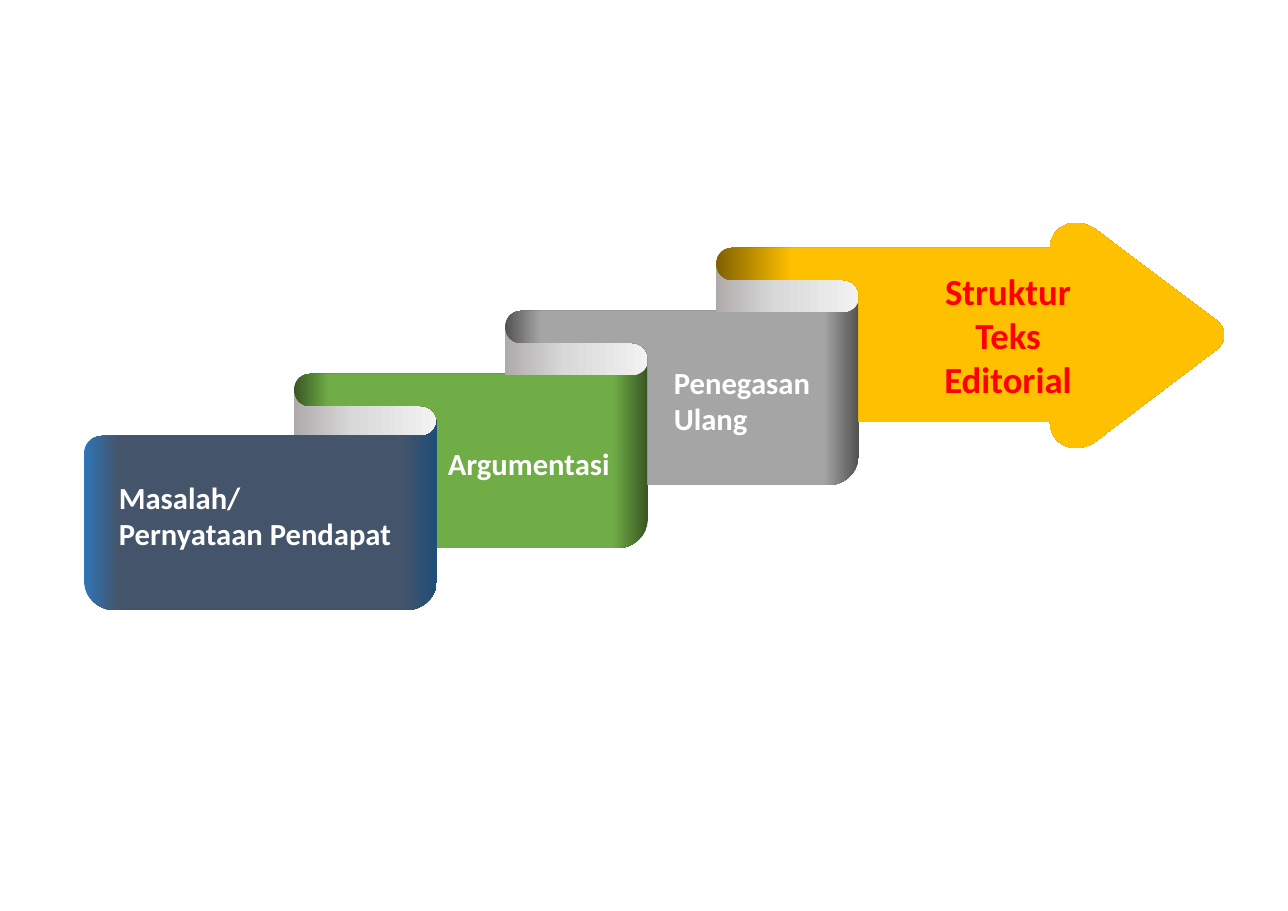
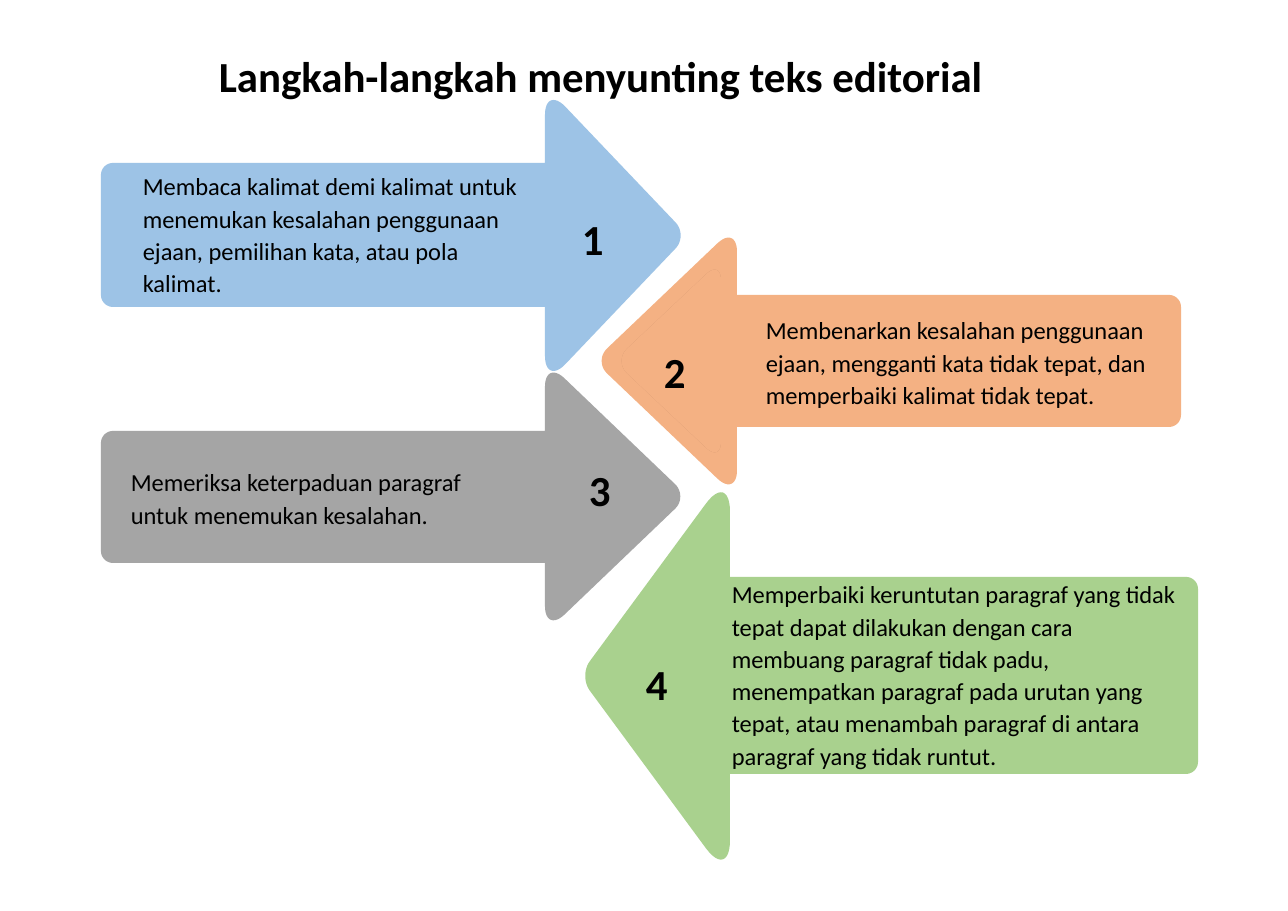
from math import dist

from lxml.etree import SubElement
from pptx import Presentation
from pptx.dml.color import RGBColor
from pptx.enum.text import MSO_AUTO_SIZE, PP_ALIGN
from pptx.oxml.ns import qn
from pptx.util import Emu, Pt

SCALE = 914400 / 110.2
FONT = "Calibri"
BLACK = RGBColor(0x00, 0x00, 0x00)
WHITE = RGBColor(0xFF, 0xFF, 0xFF)
RED = RGBColor(0xFF, 0x00, 0x00)
NAVY = RGBColor(0x44, 0x54, 0x6A)
BLUE = RGBColor(0x2E, 0x75, 0xB6)
DEEP_BLUE = RGBColor(0x1F, 0x4E, 0x79)
GREEN = RGBColor(0x70, 0xAD, 0x47)
DEEP_GREEN = RGBColor(0x38, 0x57, 0x23)
GRAY = RGBColor(0xA5, 0xA5, 0xA5)
DEEP_GRAY = RGBColor(0x52, 0x52, 0x52)
GOLD = RGBColor(0xFF, 0xC0, 0x00)
DEEP_GOLD = RGBColor(0x80, 0x60, 0x00)
SKY = RGBColor(0x9D, 0xC3, 0xE6)
PEACH = RGBColor(0xF4, 0xB1, 0x83)
LEAF = RGBColor(0xA9, 0xD1, 0x8E)
FOLD_STOPS = [
    (0, RGBColor(0xAF, 0xAB, 0xAB)),
    (42, RGBColor(0xD9, 0xD9, 0xD9)),
    (100, RGBColor(0xF2, 0xF2, 0xF2)),
]

HEADING = {"size": Pt(28), "bold": True, "color": BLACK}
GOAL = {"size": Pt(24), "bold": True, "color": RED}
STAGE = {"size": Pt(20), "bold": True, "color": WHITE}
BODY = {"size": Pt(16), "bold": False, "color": BLACK}

STEP_X, STEP_Y = 211, -63
CURL = 16


def px(value):
    return Emu(round(value * SCALE))


def apply(target, formats):
    for name, value in formats.items():
        setattr(target, name, value)


def toward(start, end, length):
    share = length / dist(start, end)
    return tuple(a + (b - a) * share for a, b in zip(start, end))


def rounded(corners):
    outline = []
    for index, (x, y, radius) in enumerate(corners):
        corner = (x, y)
        if not radius:
            outline.append(corner)
            continue
        before = corners[index - 1][:2]
        after = corners[(index + 1) % len(corners)][:2]
        enter, leave = toward(corner, before, radius), toward(corner, after, radius)
        for step in range(13):
            t = step / 12
            u = 1 - t
            pull = 3 * u * t * 0.55
            a = u ** 3 + 3 * u * u * t - pull * u
            b = t ** 3 + 3 * u * t * t - pull * t
            outline.append(tuple(a * p + b * q + pull * c
                                 for p, q, c in zip(enter, leave, corner)))
    return outline


def add_outline(shapes, corners):
    points = [(px(x), px(y)) for x, y in rounded(corners)]
    builder = shapes.build_freeform(*points[0], scale=1.0)
    builder.add_line_segments(points[1:], close=True)
    outline = builder.convert_to_shape()
    outline.shadow.inherit = False
    outline.line.fill.background()
    return outline


def add_solid(shapes, corners, color, opacity=100):
    solid = add_outline(shapes, corners)
    solid.fill.solid()
    solid.fill.fore_color.rgb = color
    if opacity < 100:
        rgb = next(solid.element.iter(qn("a:srgbClr")))
        SubElement(rgb, qn("a:alpha"), val=str(opacity * 1000))


def add_gradient(shapes, corners, stops):
    ribbon = add_outline(shapes, corners)
    ribbon.fill.gradient()
    ribbon.fill.gradient_angle = 0
    stop_list = next(ribbon.element.iter(qn("a:gsLst")))
    for old in list(stop_list):
        stop_list.remove(old)
    for position, color in stops:
        stop = SubElement(stop_list, qn("a:gs"), pos=str(position * 1000))
        SubElement(stop, qn("a:srgbClr"), val=str(color))


def add_text(slide, box, lines, style, align=PP_ALIGN.LEFT, spacing=1.0):
    frame = slide.shapes.add_textbox(*map(px, box)).text_frame
    apply(frame, {"word_wrap": True, "auto_size": MSO_AUTO_SIZE.SHAPE_TO_FIT_TEXT})
    frame.text = lines
    for paragraph in frame.paragraphs:
        apply(paragraph, {"alignment": align, "line_spacing": spacing})
        font = paragraph.runs[0].font
        apply(font, {"name": FONT, "size": style["size"], "bold": style["bold"]})
        font.color.rgb = style["color"]


def add_fold(shapes, x, y):
    corners = [(0, 0, 0), (66, 0, 0), (66, CURL, 0), (143, CURL, CURL),
               (143, 3 * CURL, CURL), (0, 3 * CURL, 0)]
    add_gradient(shapes, [(x + dx, y + dy, r) for dx, dy, r in corners], FOLD_STOPS)


def curl_corners(x, y):
    return [(x + 143, y + 3 * CURL, CURL), (x, y + 3 * CURL, CURL), (x, y + CURL, CURL)]


def add_band(shapes, x, y, deep, color):
    corners = curl_corners(x, y) + [
        (x + 354, y + CURL, CURL), (x + 354, y, 0),
        (x + 354, y + 190, 30), (x + 143, y + 190, 0)]
    add_gradient(shapes, corners, [(0, deep), (10, color), (90, color), (100, deep)])


def add_goal_arrow(shapes, x, y):
    corners = curl_corners(x, y) + [
        (1050, 248, 0), (1050, 223, 25), (1087, 223, 10), (1236, 335, 25),
        (1087, 448, 10), (1050, 448, 25), (1050, 422, 0), (x + 143, 422, 0)]
    add_gradient(shapes, corners, [(0, DEEP_GOLD), (15, GOLD), (100, GOLD)])


def add_front(shapes):
    corners = [(84, 436, 18), (437, 436, CURL), (437, 420, 0),
               (437, 610, 30), (84, 610, 30)]
    add_gradient(shapes, corners,
                 [(0, BLUE), (10, NAVY), (90, NAVY), (100, DEEP_BLUE)])


def head_corners(base, tip, top, bottom):
    height = bottom - top
    overshoot, radius = 0.054 * height, 0.11 * height
    reach = 7 if tip > base else -7
    return [(base, top - overshoot, radius),
            (tip + reach, (top + bottom) / 2, 18),
            (base, bottom + overshoot, radius)]


def add_step_arrow(shapes, tail, base, tip, top, bottom, body, color):
    upper, lower = body
    corners = head_corners(base, tip, top, bottom) + [
        (base, lower, 0), (tail, lower, 12), (tail, upper, 12), (base, upper, 0)]
    add_solid(shapes, corners, color)


def add_inner_head(shapes, base, tip, top, bottom, color, opacity=100):
    side = 1 if tip > base else -1
    inset = 0.13 * (bottom - top)
    corners = head_corners(base + 16 * side, tip - 20 * side, top + inset, bottom - inset)
    add_solid(shapes, corners, color, opacity)


def build_structure(slide):
    ribbon = slide.shapes.add_group_shape().shapes
    x, y = 294, 358
    for deep, color in [(DEEP_GREEN, GREEN), (DEEP_GRAY, GRAY)]:
        add_fold(ribbon, x, y + 2 * CURL)
        add_band(ribbon, x, y, deep, color)
        x, y = x + STEP_X, y + STEP_Y
    add_fold(ribbon, x, y + 2 * CURL)
    add_goal_arrow(ribbon, x, y)
    add_front(ribbon)
    add_text(slide, (932, 263, 152, 144), "Struktur Teks Editorial", GOAL, PP_ALIGN.CENTER)
    for box, stage in [
        ((108, 473, 306, 85), "Masalah/\nPernyataan Pendapat"),
        ((437, 439, 190, 48), "Argumentasi"),
        ((663, 358, 173, 85), "Penegasan Ulang"),
    ]:
        add_text(slide, box, stage, STAGE)


def build_steps(slide):
    add_text(slide, (100, 44, 1001, 63), "Langkah-langkah menyunting teks editorial",
             HEADING, PP_ALIGN.CENTER)
    heads = [
        (101, 545, 681, 100, 371, (163, 307), SKY),
        (101, 545, 681, 373, 620, (431, 563), GRAY),
        (1181, 737, 601, 238, 484, (295, 427), PEACH),
        (1198, 730, 586, 491, 861, (577, 774), LEAF),
    ]
    for head in heads:
        add_step_arrow(slide.shapes, *head)
    for _, base, tip, top, bottom, _, color in heads:
        if color == PEACH:
            add_inner_head(slide.shapes, base, tip, top, bottom, BLACK, 15)
        add_inner_head(slide.shapes, base, tip, top, bottom, color)
    steps = [
        ("1", (571, 207, 39, 63), (132, 163, 409, 141),
         "Membaca kalimat demi kalimat untuk menemukan kesalahan penggunaan ejaan, "
         "pemilihan kata, atau pola kalimat."),
        ("2", (653, 340, 30, 63), (755, 307, 410, 109),
         "Membenarkan kesalahan penggunaan ejaan, mengganti kata tidak tepat, dan "
         "memperbaiki kalimat tidak tepat."),
        ("3", (578, 458, 30, 63), (120, 459, 406, 76),
         "Memeriksa keterpaduan paragraf untuk menemukan kesalahan."),
        ("4", (635, 652, 45, 63), (721, 571, 476, 207),
         "Memperbaiki keruntutan paragraf yang tidak tepat dapat dilakukan dengan cara "
         "membuang paragraf tidak padu, menempatkan paragraf pada urutan yang tepat, "
         "atau menambah paragraf di antara paragraf yang tidak runtut."),
    ]
    for number, number_box, body_box, instruction in steps:
        add_text(slide, number_box, number, HEADING)
        add_text(slide, body_box, instruction, BODY, spacing=1.1)


def main():
    deck = Presentation()
    apply(deck, {"slide_width": px(1288), "slide_height": px(911)})
    for build in (build_structure, build_steps):
        build(deck.slides.add_slide(deck.slide_layouts[6]))
    deck.save("out.pptx")


main()
